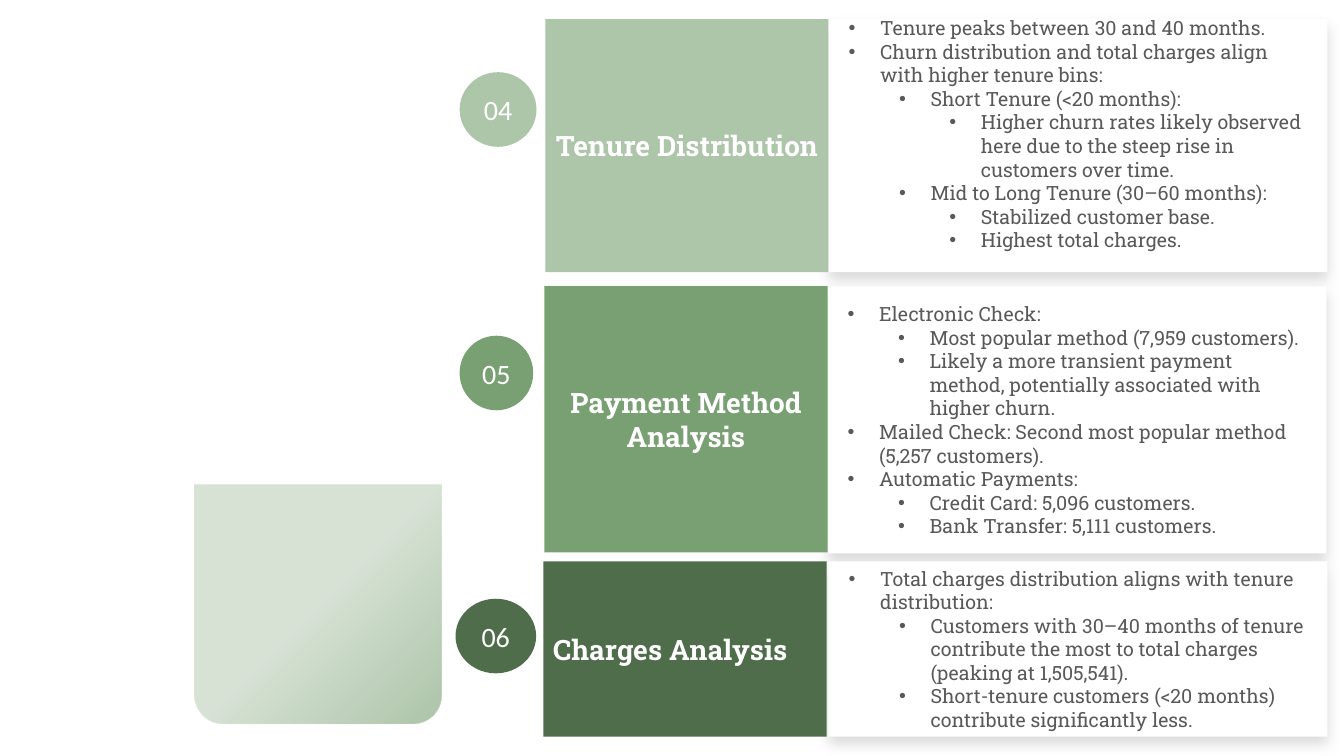
from lxml.etree import SubElement
from pptx import Presentation
from pptx.dml.color import RGBColor
from pptx.enum.shapes import MSO_SHAPE
from pptx.enum.text import MSO_ANCHOR, PP_ALIGN
from pptx.oxml.ns import qn
from pptx.util import Pt

SAGE, GREEN, FOREST = "ADC5A9", "79A072", "4F6D4A"
WHITE, GREY = "FFFFFF", "595959"
BADGE_FONT = {"size": Pt(20), "name": "Calibri"}
TITLE_FONT = {"size": Pt(20), "name": "Roboto Slab", "bold": True}
BULLET_FONT = {"size": Pt(14), "name": "Roboto Slab"}
PANEL_FRAME = {"margin_left": Pt(14.4), "margin_right": Pt(14.4),
               "margin_top": Pt(2.9)}

SECTIONS = [
    {
        "number": "04", "title": "Tenure Distribution", "color": SAGE,
        "align": PP_ALIGN.CENTER, "bottom_margin": 19.7,
        "badge": (328.3, 51.6, 54.9, 53.3),
        "block": (389.5, 13.7, 202.3, 180.7),
        "panel": (591.8, 13.7, 356.4, 180.7),
        "bullets": [
            (0, "Tenure peaks between 30 and 40 months."),
            (0, "Churn distribution and total charges align with higher tenure bins:"),
            (1, "Short Tenure (<20 months):"),
            (2, "Higher churn rates likely observed here due to the steep rise in "
                "customers over time."),
            (1, "Mid to Long Tenure (30–60 months):"),
            (2, "Stabilized customer base."),
            (2, "Highest total charges."),
        ],
    },
    {
        "number": "05", "title": "Payment Method Analysis", "color": GREEN,
        "align": PP_ALIGN.CENTER, "bottom_margin": 2.9,
        "badge": (328.3, 239.8, 52.6, 53.3),
        "block": (388.8, 204.5, 202.3, 190.1),
        "panel": (591.1, 204.5, 356.4, 190.8),
        "bullets": [
            (0, "Electronic Check:"),
            (1, "Most popular method (7,959 customers)."),
            (1, "Likely a more transient payment method, potentially associated "
                "with higher churn."),
            (0, "Mailed Check: Second most popular method (5,257 customers)."),
            (0, "Automatic Payments:"),
            (1, "Credit Card: 5,096 customers."),
            (1, "Bank Transfer: 5,111 customers."),
        ],
    },
    {
        "number": "06", "title": "Charges Analysis", "color": FOREST,
        "align": PP_ALIGN.LEFT, "bottom_margin": 2.9,
        "badge": (325.4, 427.7, 57.6, 53.3),
        "block": (388.1, 401, 202.3, 125.3),
        "panel": (591.8, 401, 356.4, 125.3),
        "bullets": [
            (0, "Total charges distribution aligns with tenure distribution:"),
            (1, "Customers with 30–40 months of tenure contribute the most to "
                "total charges (peaking at 1,505,541)."),
            (1, "Short-tenure customers (<20 months) contribute significantly less."),
        ],
    },
]


def rgb(value):
    """Turn a hex string into a colour."""
    return RGBColor.from_string(value)


def set_values(target, values):
    """Set each named attribute on the target."""
    for name, value in values.items():
        setattr(target, name, value)


def add_box(page, kind, place, color):
    """Add a plain filled shape without line or shadow."""
    box = page.shapes.add_shape(kind, *map(Pt, place))
    box.fill.solid()
    box.fill.fore_color.rgb = rgb(color)
    box.line.fill.background()
    box.shadow.inherit = False
    box.text_frame.vertical_anchor = MSO_ANCHOR.MIDDLE
    return box


def write(para, text, align, font, color):
    """Put one formatted run into a paragraph."""
    para.alignment = align
    span = para.add_run()
    span.text = text
    set_values(span.font, font)
    span.font.color.rgb = rgb(color)


def add_label(page, kind, place, color, text, align, font):
    """Add a coloured shape with a white one-paragraph label."""
    box = add_box(page, kind, place, color)
    box.text_frame.word_wrap = True
    write(box.text_frame.paragraphs[0], text, align, font, WHITE)


def add_soft_shadow(box):
    """Give a shape a faint shadow that falls downwards."""
    effects = box._element.spPr.find(qn("a:effectLst"))
    shadow = SubElement(effects, qn("a:outerShdw"), blurRad=str(Pt(10)),
                        dist=str(Pt(5)), dir="5400000", algn="t", rotWithShape="0")
    tint = SubElement(shadow, qn("a:srgbClr"), val="000000")
    SubElement(tint, qn("a:alpha"), val="15000")


def add_bullet(para, level):
    """Give a paragraph a round bullet and the indent of its level."""
    para.level = level
    properties = para._p.get_or_add_pPr()
    properties.set("marL", str(Pt(22.5 + 36 * level)))
    properties.set("indent", str(Pt(-22.5)))
    SubElement(properties, qn("a:buFont"), typeface="Arial")
    SubElement(properties, qn("a:buChar"), char="•")


def add_panel(page, place, bullets, bottom_margin):
    """Add a white shadowed panel with a nested bullet list."""
    box = add_box(page, MSO_SHAPE.RECTANGLE, place, WHITE)
    add_soft_shadow(box)
    frame = box.text_frame
    frame.word_wrap = True
    set_values(frame, {**PANEL_FRAME, "margin_bottom": Pt(bottom_margin)})
    for index, (level, text) in enumerate(bullets):
        para = frame.add_paragraph() if index else frame.paragraphs[0]
        add_bullet(para, level)
        write(para, text, PP_ALIGN.LEFT, BULLET_FONT, GREY)


def add_gradient_card(page, place):
    """Add the card with round lower corners and a diagonal gradient."""
    card = add_box(page, MSO_SHAPE.ROUND_2_SAME_RECTANGLE, place, SAGE)
    card.adjustments[0] = 0
    card.adjustments[1] = 0.124
    card.fill.gradient()
    card.fill.gradient_angle = 315
    for stop, position in zip(card.fill.gradient_stops, (0.49, 1)):
        stop.position = position
        stop.color.rgb = rgb(SAGE)
    pale = next(card._element.spPr.iter(qn("a:srgbClr")))
    SubElement(pale, qn("a:alpha"), val="47000")


def add_section(page, section):
    """Add the panel, title block and number badge of one section."""
    color = section["color"]
    add_panel(page, section["panel"], section["bullets"], section["bottom_margin"])
    add_label(page, MSO_SHAPE.RECTANGLE, section["block"], color,
              section["title"], section["align"], TITLE_FONT)
    add_label(page, MSO_SHAPE.OVAL, section["badge"], color,
              section["number"], PP_ALIGN.CENTER, BADGE_FONT)


def main():
    """Build the slide and save it."""
    deck = Presentation()
    set_values(deck, {"slide_width": Pt(960), "slide_height": Pt(540)})
    page = deck.slides.add_slide(deck.slide_layouts[6])
    add_gradient_card(page, (139, 346.3, 176.4, 170.6))
    for section in SECTIONS:
        add_section(page, section)
    deck.save("out.pptx")


if __name__ == "__main__":
    main()
